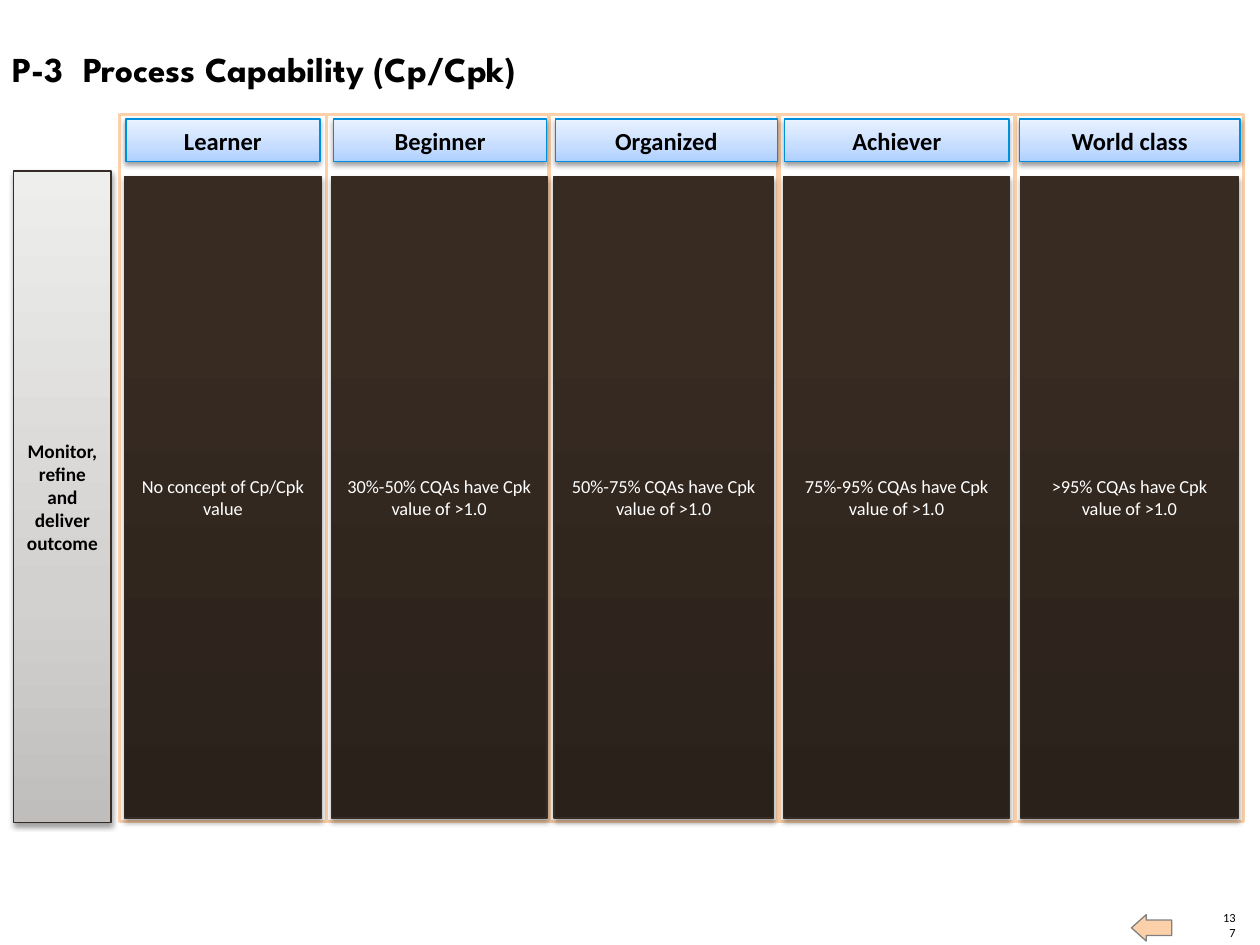
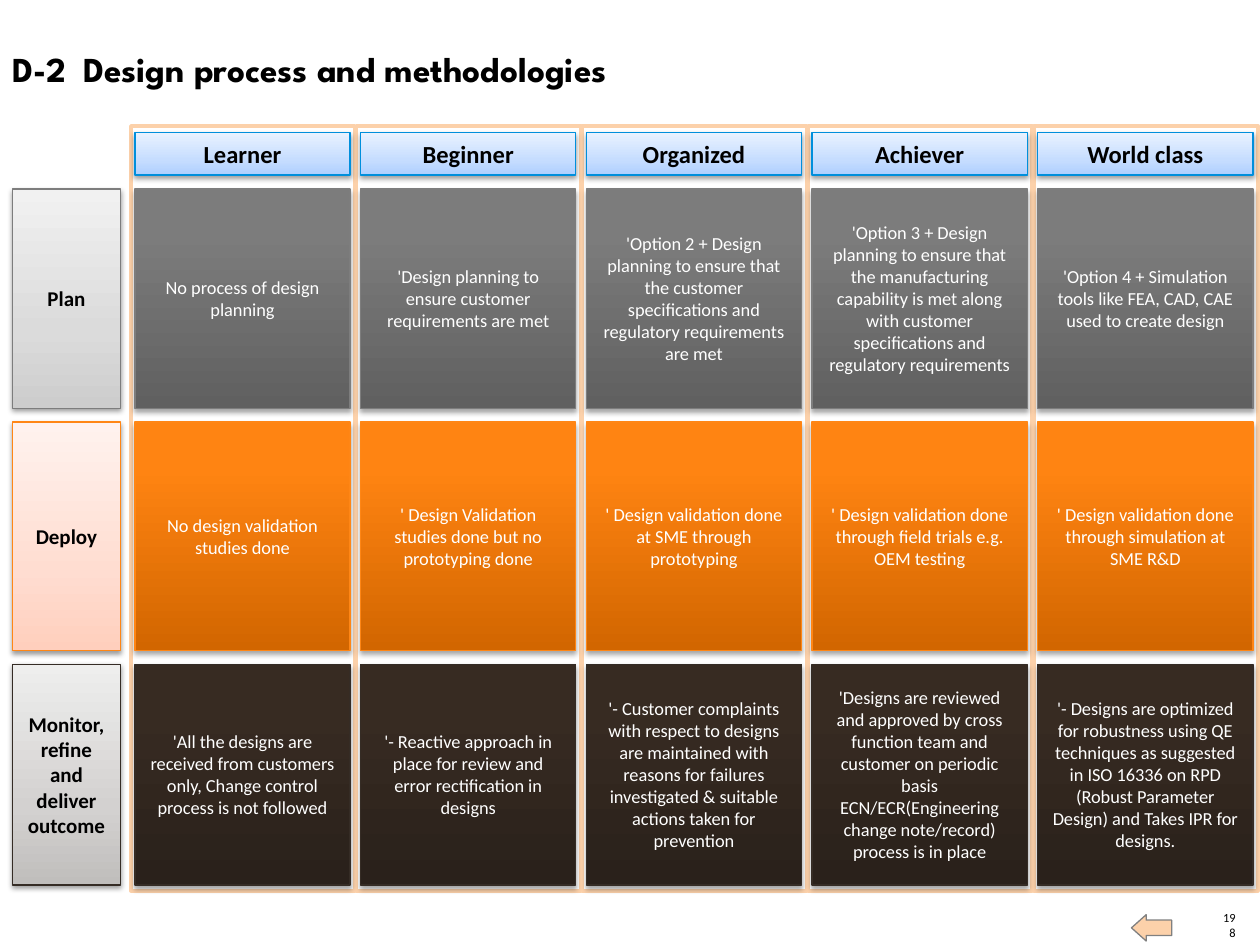
from dataclasses import dataclass
from typing import NamedTuple

from lxml.etree import SubElement
from pptx import Presentation
from pptx.dml.color import RGBColor
from pptx.enum.shapes import MSO_SHAPE as SHAPE
from pptx.enum.text import MSO_ANCHOR as ANCHOR, PP_ALIGN as ALIGN
from pptx.oxml.ns import qn
from pptx.util import Cm, Pt

# Colours and fonts
BLACK = RGBColor(0x00, 0x00, 0x00)
WHITE = RGBColor(0xFF, 0xFF, 0xFF)
PEACH = RGBColor(0xFC, 0xD1, 0xAA)
ARROW_EDGE = RGBColor(0x80, 0x80, 0x80)
BLUE = RGBColor(0x00, 0x8F, 0xDC)
GREY = RGBColor(0x7D, 0x7D, 0x7D)
ORANGE = RGBColor(0xFF, 0x86, 0x15)
BROWN = RGBColor(0x35, 0x2C, 0x25)
TITLE_FONT = "League Spartan"
BODY_FONT = "Calibri"

LEVELS = ["Learner", "Beginner", "Organized", "Achiever", "World class"]
HEAD_HEIGHT = 0.86


class Span(NamedTuple):
    start: float
    size: float


class Style(NamedTuple):
    """Gradient from bottom to top, its middle stop, outline and shadow."""
    colors: tuple[RGBColor, RGBColor, RGBColor]
    middle: int
    line: RGBColor
    shadow_alpha: int
    shadow_dist: float


def pale(line: RGBColor, *colors: str) -> Style:
    return Style(tuple(map(RGBColor.from_string, colors)), 35, line, 38, 1.6)


def strong(line: RGBColor, *colors: str) -> Style:
    return Style(tuple(map(RGBColor.from_string, colors)), 80, line, 35, 1.8)


HEAD = pale(BLUE, "AECFFF", "C6DDFF", "E9F2FF")


class Phase(NamedTuple):
    name: str
    label: Style
    cell: Style


PLAN = Phase("Plan", pale(GREY, "CDCDCD", "DBDBDB", "F1F1F1"),
             strong(GREY, "606060", "7C7C7C", "7D7D7D"))
DEPLOY = Phase("Deploy", pale(ORANGE, "FFCFBD", "FFDDD1", "FFF2EE"),
               strong(ORANGE, "D26600", "FF8412", "FF8514"))
MONITOR = Phase("Monitor, refine and deliver outcome",
                pale(BROWN, "C0BEBC", "D3D1D0", "EEEEED"),
                strong(BROWN, "2A211B", "372B22", "372B22"))


@dataclass
class Row:
    phase: Phase
    cells_at: Span
    label_at: Span
    texts: list[str]


@dataclass
class Board:
    code: str
    title: str
    page: str
    panels: list[Span]
    panel_at: Span
    heads: list[Span]
    head_top: float
    cells: list[Span]
    labels: Span
    label_size: float
    rows: list[Row]


def write(sp, text: str, *, size: float, font: str = BODY_FONT,
          color: RGBColor = BLACK, bold: bool = False, align=ALIGN.CENTER,
          anchor=ANCHOR.MIDDLE, tab: float = 0, margin: float | None = None) -> None:
    """Fill a shape with text, one paragraph for each line."""
    tf = sp.text_frame
    tf.word_wrap = True
    tf.vertical_anchor = anchor
    if margin is not None:
        tf.margin_left = tf.margin_right = Cm(margin)
        tf.margin_top = tf.margin_bottom = Cm(margin)
    for i, line in enumerate(text.split("\n")):
        p = tf.add_paragraph() if i else tf.paragraphs[0]
        p.alignment = align
        if tab:
            tabs = SubElement(p._p.get_or_add_pPr(), qn("a:tabLst"))
            SubElement(tabs, qn("a:tab"), pos=str(Cm(tab)), algn="l")
        r = p.add_run()
        r.text = line
        r.font.name, r.font.size, r.font.bold = font, Pt(size), bold
        r.font.color.rgb = color


def add_box(slide, x: Span, y: Span, *, fill: RGBColor = WHITE,
            line: RGBColor = PEACH, width: float = 0.75, kind=SHAPE.RECTANGLE):
    sp = slide.shapes.add_shape(kind, Cm(x.start), Cm(y.start), Cm(x.size), Cm(y.size))
    sp.shadow.inherit = False
    sp.fill.solid()
    sp.fill.fore_color.rgb = fill
    sp.line.color.rgb = line
    sp.line.width = Pt(width)
    return sp


def add_card(slide, x: Span, y: Span, style: Style, text: str, **fmt) -> None:
    """Draw a box with a gradient, a soft shadow and centred text."""
    sp = add_box(slide, x, y, line=style.line)
    sp.fill.gradient()
    props = sp._element.spPr

    grad = props.find(qn("a:gradFill"))
    grad.clear()
    stops = SubElement(grad, qn("a:gsLst"))
    for pos, color in zip((0, style.middle, 100), style.colors):
        stop = SubElement(stops, qn("a:gs"), pos=str(pos * 1000))
        SubElement(stop, qn("a:srgbClr"), val=str(color))
    SubElement(grad, qn("a:lin"), ang=str(270 * 60000), scaled="0")

    shadow = SubElement(props.find(qn("a:effectLst")), qn("a:outerShdw"),
                        blurRad=str(Pt(3.1)), dist=str(Pt(style.shadow_dist)),
                        dir=str(90 * 60000), rotWithShape="0")
    tint = SubElement(shadow, qn("a:srgbClr"), val=str(BLACK))
    SubElement(tint, qn("a:alpha"), val=str(style.shadow_alpha * 1000))
    write(sp, text, **fmt)


def add_frame(slide, board: Board) -> None:
    """Draw the title, page number and back arrow."""
    title = slide.shapes.add_textbox(0, Cm(0.84), Cm(21.84), Cm(1.12))
    write(title, f"{board.code}\t{board.title}", size=20, font=TITLE_FONT,
          bold=True, align=ALIGN.LEFT, anchor=ANCHOR.TOP, tab=1.43)
    page = slide.shapes.add_textbox(Cm(24.61), Cm(18.64), Cm(0.3), Cm(0.3))
    write(page, board.page, size=7.1, align=ALIGN.RIGHT, anchor=ANCHOR.BOTTOM, margin=0)
    arrow = add_box(slide, Span(22.81, 0.81), Span(18.44, 0.53), fill=PEACH,
                    line=ARROW_EDGE, kind=SHAPE.LEFT_ARROW)
    arrow.adjustments[0], arrow.adjustments[1] = 0.59, 0.56


def add_board(prs, board: Board) -> None:
    slide = prs.slides.add_slide(prs.slide_layouts[6])
    add_frame(slide, board)
    for panel in board.panels:
        add_box(slide, panel, board.panel_at, width=2)
    for head, level in zip(board.heads, LEVELS):
        add_card(slide, head, Span(board.head_top, HEAD_HEIGHT), HEAD, level,
                 size=14, bold=True)
    for row in board.rows:
        add_card(slide, board.labels, row.label_at, row.phase.label, row.phase.name,
                 size=board.label_size, bold=True)
        for cell, text in zip(board.cells, row.texts):
            add_card(slide, cell, row.cells_at, row.phase.cell, text,
                     size=10.5, color=WHITE)


# Process capability: columns of different widths, one row
CAPABILITY_PANELS = [Span(2.41, 4.17), Span(6.58, 4.55), Span(11.07, 4.62),
                     Span(15.7, 4.75), Span(20.47, 4.6)]
CAPABILITY = Board(
    code="P-3", title="Process Capability (Cp/Cpk)", page="137",
    panels=CAPABILITY_PANELS, panel_at=Span(2.31, 14.25),
    heads=[Span(2.54, 3.91), Span(6.73, 4.29), Span(11.2, 4.47),
           Span(15.82, 4.52), Span(20.55, 4.45)],
    head_top=2.4,
    cells=[Span(x + 0.1, w - 0.2) for x, w in CAPABILITY_PANELS],
    labels=Span(0.28, 1.96), label_size=11,
    rows=[Row(MONITOR, Span(3.56, 12.93), Span(3.45, 13.13),
              ["No concept of Cp/Cpk value"]
              + [f"{share} CQAs have Cpk value of >1.0"
                 for share in ("30%-50%", "50%-75%", "75%-95%", ">95%")])])

# Design process: equal columns, one row for each phase
DESIGN_PANELS = [Span(2.64 + 4.55 * i, 4.52) for i in range(len(LEVELS))]
DESIGN_CELLS = [Span(panel.start + 0.08, 4.34) for panel in DESIGN_PANELS]
PLAN_AT, DEPLOY_AT, MONITOR_AT = Span(3.81, 4.42), Span(8.51, 4.6), Span(13.39, 4.45)
DESIGN = Board(
    code="D-2", title="Design process and methodologies", page="198",
    panels=DESIGN_PANELS, panel_at=Span(2.54, 15.42),
    heads=DESIGN_CELLS, head_top=2.67, cells=DESIGN_CELLS,
    labels=Span(0.25, 2.18), label_size=12,
    rows=[
        Row(PLAN, PLAN_AT, PLAN_AT, [
            "No process of design planning",
            "'Design planning to ensure customer requirements are met",
            "'Option 2 + Design planning to ensure that the customer specifications "
            "and regulatory requirements are met",
            "'Option 3 + Design planning to ensure that the manufacturing capability "
            "is met along with customer specifications and regulatory requirements",
            "'Option 4 + Simulation tools like FEA, CAD, CAE used to create design"]),
        Row(DEPLOY, DEPLOY_AT, DEPLOY_AT, [
            "No design validation studies done",
            "' Design Validation studies done but no prototyping done",
            "' Design validation done at SME through prototyping",
            "' Design validation done through field trials e.g. OEM testing",
            "' Design validation done through simulation at SME R&D"]),
        Row(MONITOR, MONITOR_AT, MONITOR_AT, [
            "'All the designs are received from customers only, Change control "
            "process is not followed",
            "'- Reactive approach in place for review and error rectification in designs",
            "'- Customer complaints with respect to designs are maintained with reasons "
            "for failures investigated & suitable actions taken for prevention",
            "'Designs are reviewed and approved by cross function team and customer "
            "on periodic basis\n"
            "ECN/ECR(Engineering change note/record) process is in place",
            "'- Designs are optimized for robustness using QE techniques as suggested "
            "in ISO 16336 on RPD (Robust Parameter Design) and Takes IPR for designs."]),
    ])


def main() -> None:
    prs = Presentation()
    prs.slide_width, prs.slide_height = Cm(25.4), Cm(19.05)
    for board in (CAPABILITY, DESIGN):
        add_board(prs, board)
    prs.save("out.pptx")


if __name__ == "__main__":
    main()
